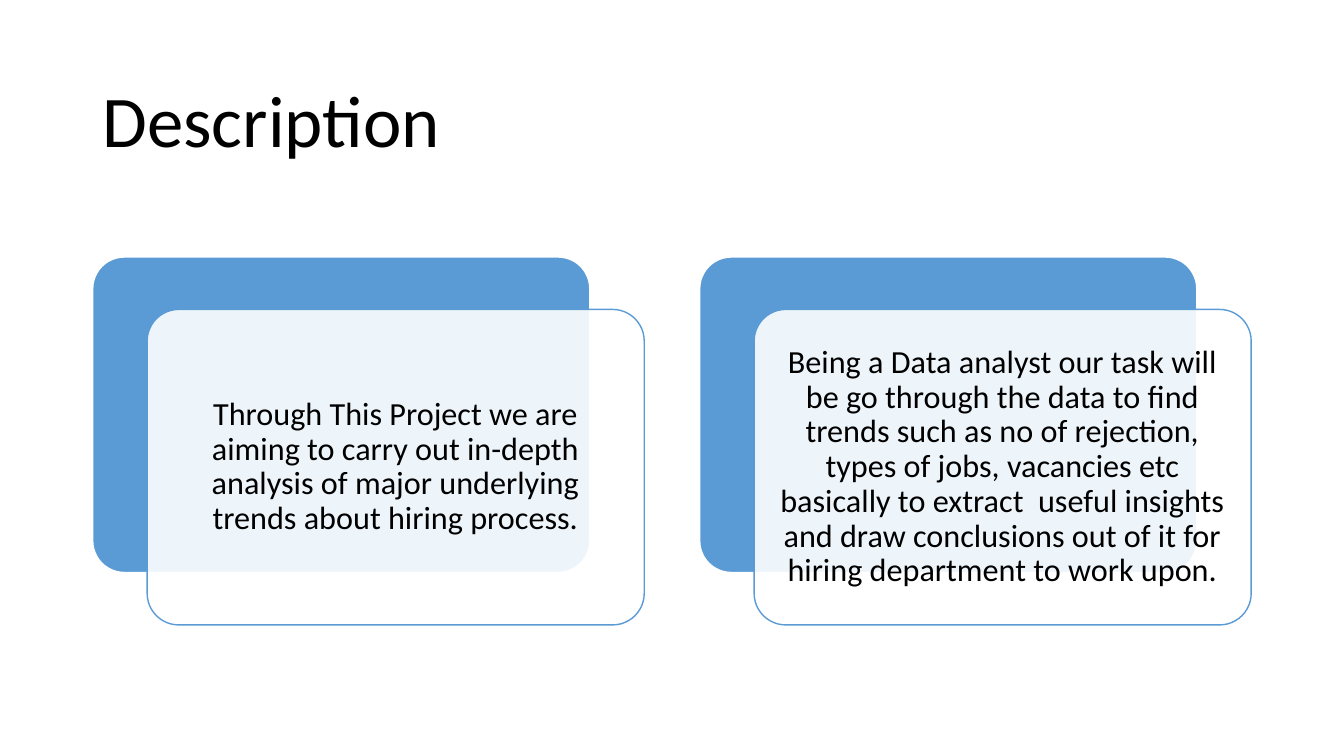
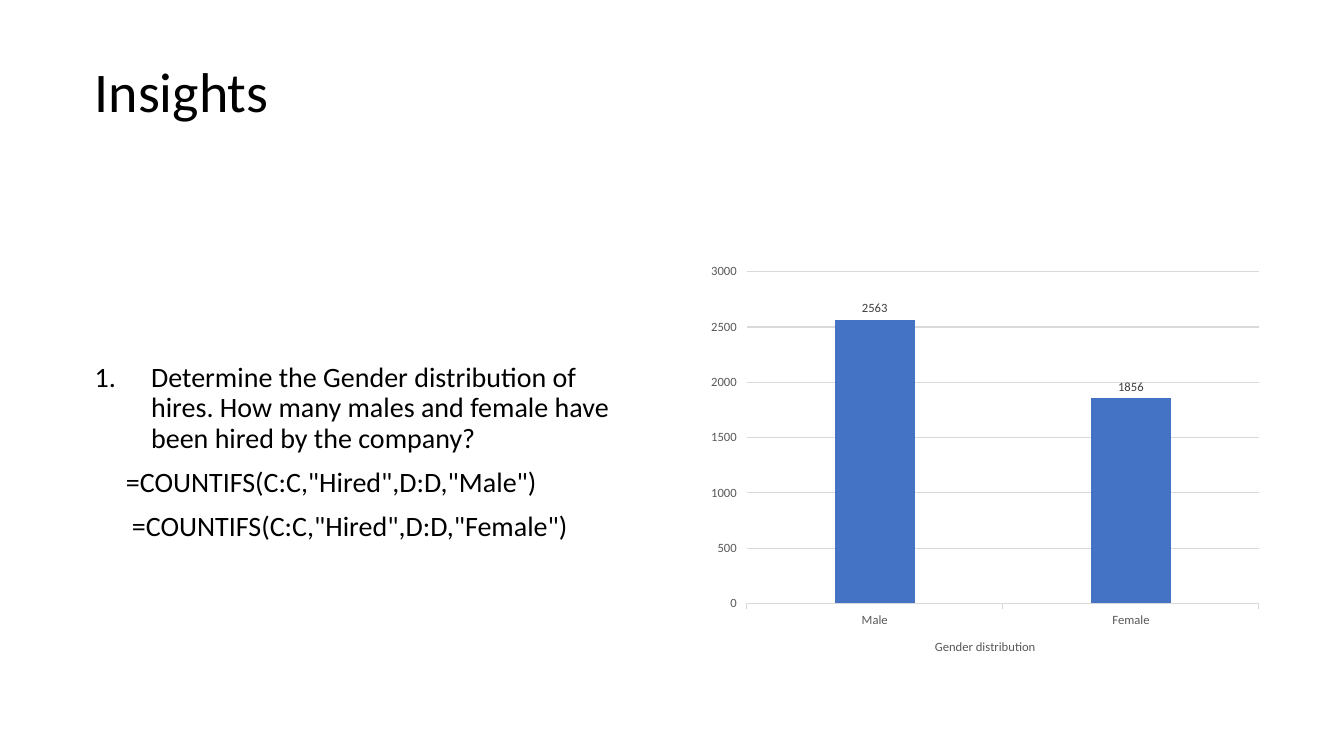
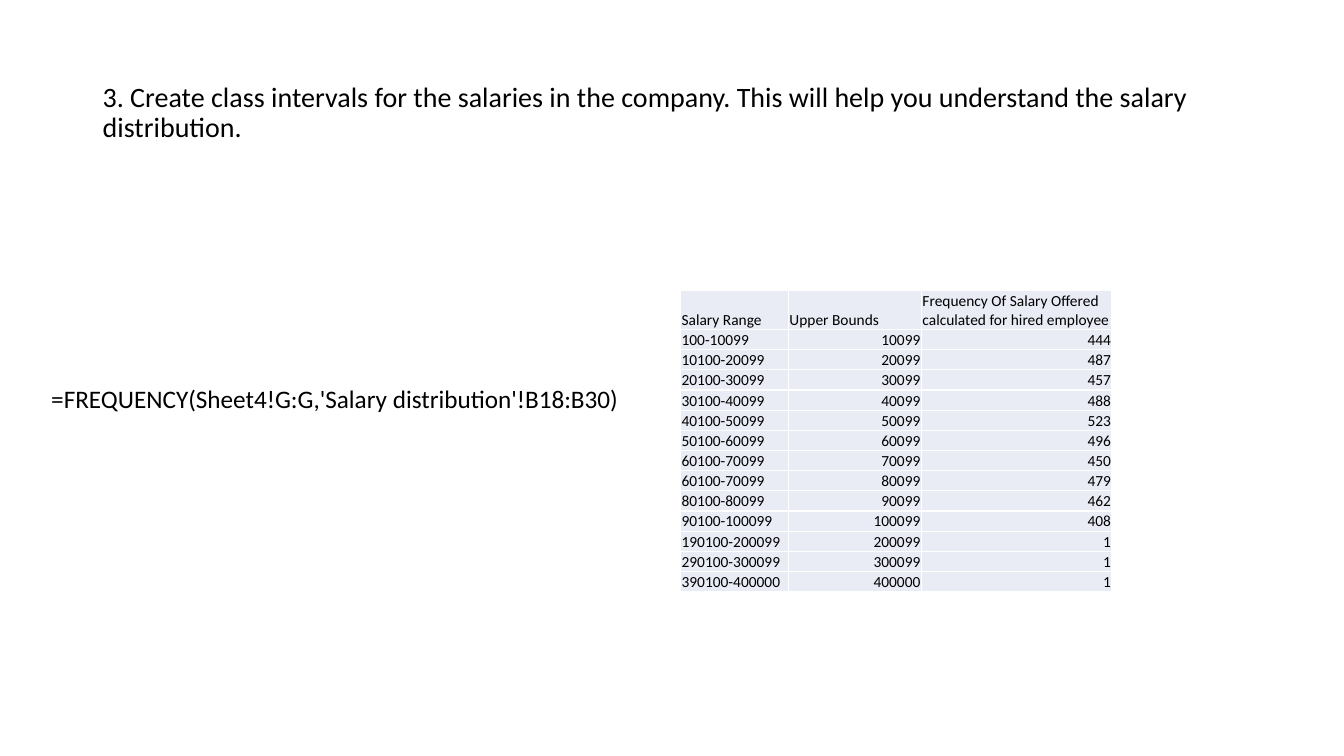
from lxml import etree
from pptx import Presentation
from pptx.chart.data import CategoryChartData
from pptx.dml.color import RGBColor
from pptx.enum import chart as charts, shapes, text
from pptx.oxml import ns
from pptx.util import Inches, Pt

FONT = "Calibri"
COLORS = {
    "text": "000000",
    "white": "FFFFFF",
    "card": "5B9BD5",
    "bar": "4472C4",
    "axis_text": "595959",
    "label_text": "404040",
    "grid": "D9D9D9",
    "cell": "E9EBF5",
}

SALARY_HEADER = ("Salary Range", "Upper Bounds",
                 "Frequency Of Salary Offered calculated for hired employee")
SALARY_ROWS = [
    ("100-10099", 10099, 444),
    ("10100-20099", 20099, 487),
    ("20100-30099", 30099, 457),
    ("30100-40099", 40099, 488),
    ("40100-50099", 50099, 523),
    ("50100-60099", 60099, 496),
    ("60100-70099", 70099, 450),
    ("60100-70099", 80099, 479),
    ("80100-80099", 90099, 462),
    ("90100-100099", 100099, 408),
    ("190100-200099", 200099, 1),
    ("290100-300099", 300099, 1),
    ("390100-400000", 400000, 1),
]


def color(name):
    return RGBColor.from_string(COLORS[name])


def style_font(font, size, name="text"):
    font.name = FONT
    font.size = Pt(size)
    font.bold = False
    font.color.rgb = color(name)


def write(para, words, size, align=None, spacing=None):
    span = para.add_run()
    span.text = words
    style_font(span.font, size)
    para.alignment = align
    para.line_spacing = spacing


def indent(para, left, first_line=0, numbered=False):
    properties = para._p.get_or_add_pPr()
    properties.set("marL", str(Inches(left)))
    properties.set("indent", str(Inches(first_line)))
    if numbered:
        bullet = etree.SubElement(properties, ns.qn("a:buAutoNum"))
        bullet.set("type", "arabicPeriod")


def add_box(page, left, top, width, height, anchor=text.MSO_ANCHOR.MIDDLE):
    box = page.shapes.add_textbox(Inches(left), Inches(top), Inches(width), Inches(height))
    frame = box.text_frame
    frame.word_wrap = True
    frame.vertical_anchor = anchor
    return frame


def add_title(page, words, size, left, top, width, height):
    frame = add_box(page, left, top, width, height)
    write(frame.paragraphs[0], words, size, spacing=0.9)


def add_filled(page, kind, left, top, width, height, fill):
    shape = page.shapes.add_shape(kind, Inches(left), Inches(top), Inches(width), Inches(height))
    shape.shadow.inherit = False
    shape.fill.solid()
    shape.fill.fore_color.rgb = color(fill)
    return shape


# Cards: a solid panel with a translucent text panel offset over it
def add_panel(page, left, top, fill, line):
    panel = add_filled(page, shapes.MSO_SHAPE.ROUNDED_RECTANGLE, left, top, 4.93, 3.13, fill)
    panel.adjustments[0] = 0.1
    panel.line.color.rgb = color(line)
    panel.line.width = Pt(1)
    return panel


def add_card(page, left, top, words):
    add_panel(page, left, top, "card", "white")
    front = add_panel(page, left + 0.54, top + 0.52, "white", "card")
    fill_color = front._element.spPr.find(ns.qn("a:solidFill"))[0]
    etree.SubElement(fill_color, ns.qn("a:alpha")).set("val", "90000")
    frame = front.text_frame
    frame.word_wrap = True
    frame.vertical_anchor = text.MSO_ANCHOR.MIDDLE
    frame.margin_left = frame.margin_right = Inches(0.1)
    frame.margin_top = frame.margin_bottom = Inches(0.1)
    write(frame.paragraphs[0], words, 23, text.PP_ALIGN.CENTER, 0.9)


# Column chart
def add_gender_chart(page):
    data = CategoryChartData()
    data.categories = ["Male", "Female"]
    data.add_series("Series 1", [2563, 1856])
    chart = page.shapes.add_chart(charts.XL_CHART_TYPE.COLUMN_CLUSTERED, Inches(6.94),
                                  Inches(2.54), Inches(5.66), Inches(4.16), data).chart
    style_font(chart.font, 10)
    chart.has_legend = False
    chart.has_title = False

    plot = chart.plots[0]
    plot.vary_by_categories = False
    plot.gap_width = 219
    plot.overlap = -27
    fill = plot.series[0].format.fill
    fill.solid()
    fill.fore_color.rgb = color("bar")
    plot.has_data_labels = True
    labels = plot.data_labels
    labels.show_value = True
    labels.position = charts.XL_LABEL_POSITION.OUTSIDE_END
    style_font(labels.font, 9, "label_text")

    category, value = chart.category_axis, chart.value_axis
    for axis in (category, value):
        style_font(axis.tick_labels.font, 9, "axis_text")
    for line in (category.format.line, value.major_gridlines.format.line):
        line.color.rgb = color("grid")
        line.width = Pt(0.75)
    value.format.line.fill.background()
    title = category.axis_title.text_frame.paragraphs[0].add_run()
    title.text = "Gender distribution"
    style_font(title.font, 9, "axis_text")


# Table
def style_cell(cell):
    cell.fill.solid()
    cell.fill.fore_color.rgb = color("cell")
    cell.vertical_anchor = text.MSO_ANCHOR.BOTTOM
    cell.margin_left = cell.margin_right = cell.margin_top = Inches(0.01)
    cell.margin_bottom = 0
    properties = cell._tc.get_or_add_tcPr()
    for position, side in enumerate(("lnL", "lnR", "lnT", "lnB")):
        border = etree.Element(ns.qn("a:" + side), w=str(Pt(1)))
        paint = etree.SubElement(border, ns.qn("a:solidFill"))
        etree.SubElement(paint, ns.qn("a:srgbClr")).set("val", COLORS["white"])
        properties.insert(position, border)


def add_salary_table(page):
    rows = [SALARY_HEADER] + SALARY_ROWS
    widths = (1.07, 1.32, 1.89)
    table = page.shapes.add_table(len(rows), len(widths), Inches(6.75), Inches(2.88),
                                  Inches(sum(widths)), Inches(2.99)).table
    table.first_row = False
    table.horz_banding = False
    for column, width in zip(table.columns, widths):
        column.width = Inches(width)
    for number, values in enumerate(rows):
        table.rows[number].height = Inches(0.2 if number else 0.39)
        for cell, value in zip(table.rows[number].cells, values):
            style_cell(cell)
            align = text.PP_ALIGN.RIGHT if isinstance(value, int) else None
            write(cell.text_frame.paragraphs[0], str(value), 11, align)


# Slides
def build_description(page):
    add_title(page, "Description", 52, 0.92, 0.61, 11.5, 1.24)
    cards = (
        "Through This Project we are aiming to carry out in-depth analysis of major "
        "underlying trends about hiring process.",
        "Being a Data analyst our task will be go through the data to find trends such as "
        "no of rejection, types of jobs, vacancies etc basically to extract  useful insights "
        "and draw conclusions out of it for hiring department to work upon.",
    )
    for number, words in enumerate(cards):
        add_card(page, 0.92 + number * 6.02, 2.55, words)


def build_insights(page):
    title_band = add_filled(page, shapes.MSO_SHAPE.RECTANGLE, 0, 0, 13.33, 1.9, "white")
    title_band.line.fill.background()
    add_title(page, "Insights", 40, 0.84, 0.27, 11.77, 1.34)
    frame = add_box(page, 0.84, 2.54, 5.32, 4.21)
    frame.margin_bottom = Inches(0.35)
    question = frame.paragraphs[0]
    write(question, "Determine the Gender distribution of hires. How many males and female "
          "have been hired by the company?", 20, spacing=0.9)
    question.space_before = Pt(10)
    indent(question, 0.56, -0.56, numbered=True)
    for gender, left in (("Male", 0.31), ("Female", 0.37)):
        formula = frame.add_paragraph()
        write(formula, f'=COUNTIFS(C:C,"Hired",D:D,"{gender}")', 20, spacing=0.9)
        formula.space_before = Pt(10)
        indent(formula, left)
    add_gender_chart(page)


def build_salaries(page):
    add_title(page, "3. Create class intervals for the salaries in the company. This will "
              "help you understand the salary distribution.", 20, 0.92, 0.4, 11.5, 1.45)
    add_salary_table(page)
    frame = add_box(page, 0.41, 3.75, 6.33, 0.4, text.MSO_ANCHOR.TOP)
    write(frame.paragraphs[0], "=FREQUENCY(Sheet4!G:G,'Salary distribution'!B18:B30)", 18)


def main():
    deck = Presentation()
    deck.slide_width = Inches(13.33)
    deck.slide_height = Inches(7.5)
    for build in (build_description, build_insights, build_salaries):
        build(deck.slides.add_slide(deck.slide_layouts[6]))
    deck.save("out.pptx")


if __name__ == "__main__":
    main()
